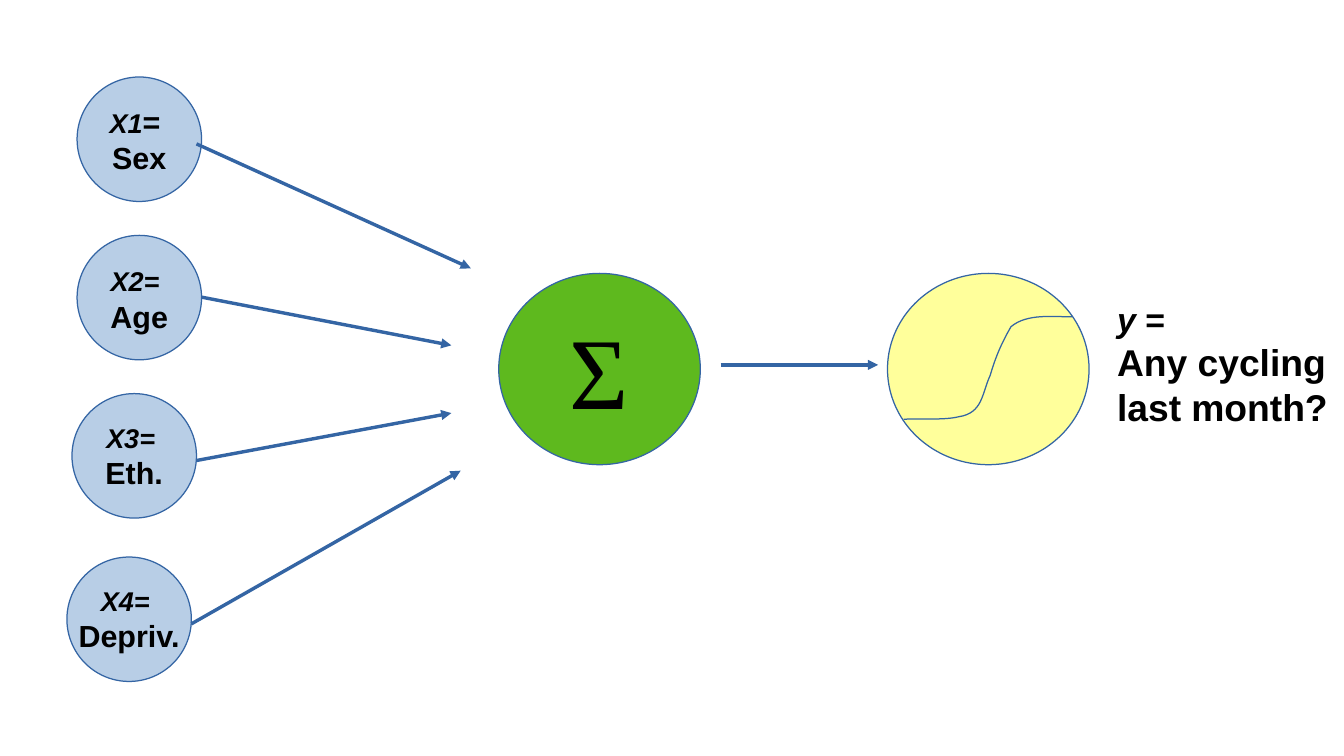
from dataclasses import dataclass

from lxml import etree
from pptx import Presentation
from pptx.dml.color import RGBColor
from pptx.enum.shapes import MSO_CONNECTOR, MSO_SHAPE
from pptx.enum.text import MSO_ANCHOR, PP_ALIGN
from pptx.oxml.ns import qn
from pptx.util import Pt

ELLIPSE = MSO_SHAPE.OVAL
STRAIGHT = MSO_CONNECTOR.STRAIGHT
MIDDLE = MSO_ANCHOR.MIDDLE
CENTER, LEFT = PP_ALIGN.CENTER, PP_ALIGN.LEFT

BLUE, GREEN, YELLOW, OUTLINE, BLACK = "729FCF", "5EB91E", "FFFF38", "3465A4", "000000"
INPUT_SIZE = 73.5
NODE_TOP, NODE_WIDTH, NODE_HEIGHT = 161.5, 119, 113
CURVE_STEPS = 16

Point = tuple[float, float]


@dataclass
class Run:
    text: str
    size: float
    italic: bool = False
    bold: bool = True
    font: str = "Arial"


@dataclass
class Circle:
    left: float
    top: float
    width: float
    height: float
    fill: str
    alpha: int
    lines: list[list[Run]]


@dataclass
class Arrow:
    start: Point
    end: Point


def input_circle(left: float, top: float, *lines: list[Run]) -> Circle:
    return Circle(left, top, INPUT_SIZE, INPUT_SIZE, BLUE, 50, list(lines))


def node_circle(left: float, fill: str, alpha: int, *lines: list[Run]) -> Circle:
    return Circle(left, NODE_TOP, NODE_WIDTH, NODE_HEIGHT, fill, alpha, list(lines))


CIRCLES = [
    input_circle(45.5, 45.5, [Run("X1", 16, True), Run("= ", 18)], [Run("Sex", 18)]),
    input_circle(45.5, 139, [Run("X2=", 16, True), Run(" ", 18)], [Run("Age", 18)]),
    input_circle(42.5, 232.5, [Run("X3=", 16, True), Run(" ", 15)], [Run("Eth.", 18)]),
    input_circle(39.5, 329, [Run("X4= ", 16, True)], [Run("Depriv.", 18)]),
    node_circle(294.5, GREEN, 100, [Run("Σ", 60, bold=False, font="Times New Roman")]),
    node_circle(524, YELLOW, 50),
]

ARROWS = [
    Arrow((116, 85), (278, 158.5)),
    Arrow((116, 272), (266.5, 244)),
    Arrow((119, 175.5), (266.5, 204)),
    Arrow((113, 368.5), (272, 278)),
    Arrow((425.5, 215.5), (518.5, 215.5)),
]

OUTCOME = [[Run("y", 20, True), Run(" =", 20)], [Run("Any cycling last month?", 22)]]

SIGMOID_START = (632.9, 187.2)
SIGMOID = [
    ((622.8, 187.2), (606.2, 185), (596.9, 193)),
    ((591.1, 203), (587.5, 211.7), (584.6, 221.8)),
    ((579.6, 232.6), (580.3, 244.1), (565.9, 246.2)),
    ((557.3, 248.4), (542.9, 247), (533.5, 247.7)),
]


def rgb(color: str) -> RGBColor:
    return RGBColor.from_string(color)


def set_outline(line) -> None:
    line.color.rgb = rgb(OUTLINE)
    line.width = Pt(0)


def write_lines(tf, lines: list[list[Run]], align) -> None:
    for i, runs in enumerate(lines):
        p = tf.paragraphs[0] if i == 0 else tf.add_paragraph()
        p.alignment = align
        for run in runs:
            r = p.add_run()
            r.text = run.text
            r.font.color.rgb = rgb(BLACK)
            formats = {"name": run.font, "size": Pt(run.size),
                       "bold": run.bold, "italic": run.italic}
            for name, value in formats.items():
                setattr(r.font, name, value)


def draw_circle(s, circle: Circle) -> None:
    sp = s.shapes.add_shape(ELLIPSE, Pt(circle.left), Pt(circle.top),
                            Pt(circle.width), Pt(circle.height))
    sp.shadow.inherit = False
    sp.fill.solid()
    sp.fill.fore_color.rgb = rgb(circle.fill)
    if circle.alpha < 100:
        color = sp.fill._xPr.find(qn("a:solidFill"))[0]
        etree.SubElement(color, qn("a:alpha"), val=str(circle.alpha * 1000))
    set_outline(sp.line)
    tf = sp.text_frame
    tf.word_wrap = False
    tf.vertical_anchor = MIDDLE
    write_lines(tf, circle.lines, CENTER)


def draw_arrow(s, arrow: Arrow) -> None:
    c = s.shapes.add_connector(STRAIGHT, *map(Pt, arrow.start + arrow.end))
    set_outline(c.line)
    etree.SubElement(c.line._get_or_add_ln(), qn("a:tailEnd"), type="triangle")
    etree.SubElement(c._element.spPr, qn("a:effectLst"))


def bezier(a: Point, b: Point, c: Point, d: Point, t: float) -> Point:
    u = 1 - t
    weights = (u ** 3, 3 * u * u * t, 3 * u * t * t, t ** 3)
    x, y = (sum(w * v for w, v in zip(weights, axis)) for axis in zip(a, b, c, d))
    return Pt(x), Pt(y)


def draw_sigmoid(s) -> None:
    points = []
    start = SIGMOID_START
    for b, c, end in SIGMOID:
        points += [bezier(start, b, c, end, i / CURVE_STEPS)
                   for i in range(1, CURVE_STEPS + 1)]
        start = end
    builder = s.shapes.build_freeform(*map(Pt, SIGMOID_START))
    builder.add_line_segments(points, close=False)
    sp = builder.convert_to_shape()
    sp.shadow.inherit = False
    sp.fill.background()
    set_outline(sp.line)


def draw_outcome(s) -> None:
    tf = s.shapes.add_textbox(Pt(652.5), Pt(173), Pt(141), Pt(130)).text_frame
    tf.word_wrap = True
    write_lines(tf, OUTCOME, LEFT)


def main() -> None:
    prs = Presentation()
    prs.slide_width, prs.slide_height = Pt(793.5), Pt(446.5)
    s = prs.slides.add_slide(prs.slide_layouts[6])
    for circle in CIRCLES:
        draw_circle(s, circle)
    for arrow in ARROWS:
        draw_arrow(s, arrow)
    draw_outcome(s)
    draw_sigmoid(s)
    prs.save("out.pptx")


if __name__ == "__main__":
    main()
